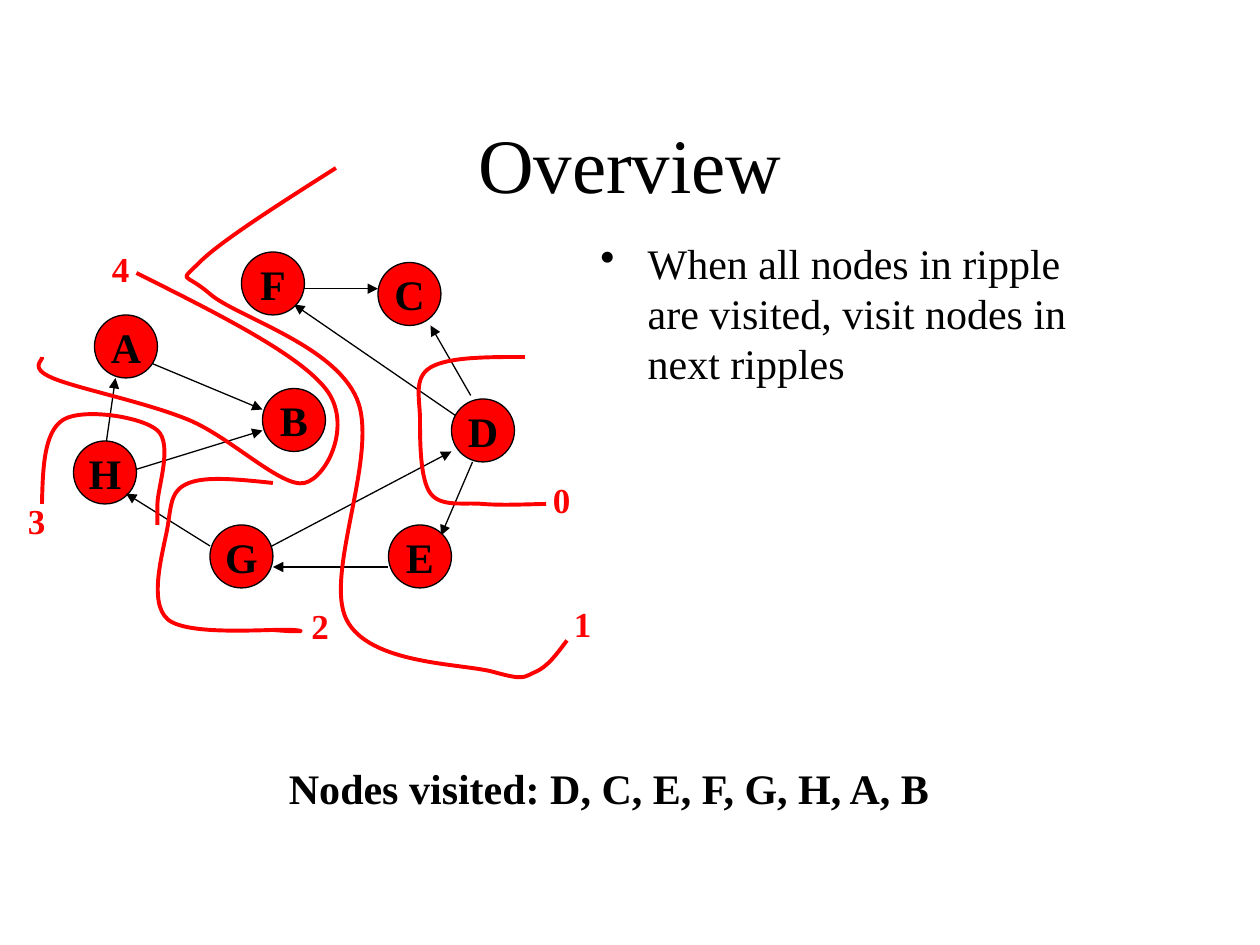
import pptx
import pptx.dml.color
import pptx.enum.shapes
import pptx.enum.text
import pptx.oxml.ns
import pptx.util
from lxml import etree

Pt = pptx.util.Pt
qn = pptx.oxml.ns.qn
ALIGN = pptx.enum.text.PP_ALIGN
ANCHOR = pptx.enum.text.MSO_ANCHOR
AUTO_SIZE = pptx.enum.text.MSO_AUTO_SIZE
COLOURS = {"ink": "000000", "ripple": "FF0000"}
NODE_SIZE = 36
NODES = {
    "A": (54, 180), "H": (42, 252), "B": (150, 222), "F": (138, 144),
    "E": (222, 300), "D": (258, 228), "C": (216, 150), "G": (120, 300),
}
BACK_EDGES = [
    (264, 240, 168, 174), (270, 264, 252, 306), (72, 270, 150, 246),
    (144, 318, 258, 258), (60, 258, 66, 216), (78, 204, 150, 234),
    (269, 226, 246, 186),
]
FRONT_EDGES = [(222, 324, 156, 324), (120, 312, 72, 282), (174, 165, 216, 165)]
RIPPLES = [
    [(192, 96), (159, 117), (126, 138), (114, 150), (102, 162), (105, 155),
     (120, 168), (135, 181), (191, 197), (204, 228), (217, 259), (185, 328),
     (198, 354), (211, 380), (264, 379), (282, 384), (300, 389), (299, 387),
     (306, 384), (313, 381), (318, 374), (324, 366)],
    [(300, 204), (278, 204), (256, 204), (246, 210), (236, 216), (240, 228),
     (240, 240), (240, 252), (240, 274), (246, 282), (252, 290), (265, 287),
     (276, 288), (287, 289), (306, 288), (312, 288)],
    [(156, 276), (137, 274), (118, 272), (108, 276), (98, 280), (98, 287),
     (96, 300), (94, 313), (84, 344), (96, 354), (108, 364), (158, 359),
     (168, 360), (178, 361), (167, 361), (156, 360)],
    [(24, 288), (24.5, 268), (25, 247), (36, 240), (47, 233), (81, 238),
     (90, 246), (99, 254), (90, 279), (90, 288), (90, 297), (90, 299), (90, 300)],
    [(78, 156), (124, 179), (170, 202), (186, 222), (202, 242), (187, 273),
     (174, 276), (161, 279), (132, 250), (108, 240), (84, 230), (44, 222),
     (30, 216), (16, 210), (25, 206), (24, 204)],
]
RIPPLE_LABELS = {
    "0": (306, 270), "2": (168, 342), "1": (318, 340.5),
    "3": (6, 282), "4": (54, 138),
}


def rgb(name):
    return pptx.dml.color.RGBColor.from_string(COLOURS[name])


def write_text(frame, text, *, size=24, bold=False, colour="ink", font="Times New Roman",
               align=ALIGN.CENTER, anchor=ANCHOR.TOP, wrap=True, grow=False,
               before=0, hanging=0, bullet=None):
    frame.word_wrap = wrap
    frame.auto_size = AUTO_SIZE.SHAPE_TO_FIT_TEXT if grow else AUTO_SIZE.NONE
    frame.vertical_anchor = anchor
    paragraph = frame.paragraphs[0]
    paragraph.alignment = align
    paragraph.space_before = Pt(before)
    run = paragraph.add_run()
    run.text = text
    run.font.name = font
    run.font.size = Pt(size)
    run.font.bold = bold
    run.font.color.rgb = rgb(colour)
    properties = paragraph._p.get_or_add_pPr()
    if hanging:
        properties.set("marL", str(Pt(hanging)))
        properties.set("indent", str(-Pt(hanging)))
    if bullet:
        etree.SubElement(properties, qn("a:buChar")).set("char", bullet)


class GraphSlide:
    thin = 0.75
    thick = 2.25

    def __init__(self, presentation):
        self.slide = presentation.slides.add_slide(presentation.slide_layouts[6])
        self.shapes = self.slide.shapes

    def outline(self, shape, colour, width):
        shape.line.color.rgb = rgb(colour)
        shape.line.width = Pt(width)

    def text(self, text, left, top, width, height, **style):
        box = self.shapes.add_textbox(Pt(left), Pt(top), Pt(width), Pt(height))
        write_text(box.text_frame, text, **style)

    def node(self, name, left, top):
        shape = self.shapes.add_shape(
            pptx.enum.shapes.MSO_SHAPE.OVAL, Pt(left), Pt(top), Pt(NODE_SIZE), Pt(NODE_SIZE))
        shape.shadow.inherit = False
        shape.fill.solid()
        shape.fill.fore_color.rgb = rgb("ripple")
        self.outline(shape, "ink", self.thin)
        write_text(shape.text_frame, name, bold=True, before=6, wrap=False,
                   anchor=ANCHOR.MIDDLE)

    def arrow(self, *ends):
        connector = self.shapes.add_connector(
            pptx.enum.shapes.MSO_CONNECTOR.STRAIGHT, *map(Pt, ends))
        self.outline(connector, "ink", self.thin)
        etree.SubElement(connector.line._ln, qn("a:tailEnd")).set("type", "triangle")
        etree.SubElement(connector._element.spPr, qn("a:effectLst"))

    def curve(self, points):
        start, *controls = [(Pt(x), Pt(y)) for x, y in points]
        builder = self.shapes.build_freeform(*start)
        builder.add_line_segments(controls, close=False)
        shape = builder.convert_to_shape()
        shape.shadow.inherit = False
        shape.fill.background()
        self.outline(shape, "ripple", self.thick)
        segments = list(shape._element.iter(qn("a:lnTo")))
        outline_path = segments[0].getparent()
        for index in range(0, len(segments), 3):
            bezier = etree.SubElement(outline_path, qn("a:cubicBezTo"))
            for segment in segments[index:index + 3]:
                bezier.append(segment[0])
                outline_path.remove(segment)


def main():
    presentation = pptx.Presentation()
    presentation.slide_width = Pt(720)
    presentation.slide_height = Pt(540)
    graph = GraphSlide(presentation)
    for edge in BACK_EDGES:
        graph.arrow(*edge)
    for name, position in NODES.items():
        graph.node(name, *position)
    graph.text("Overview", 54, 48, 612, 90, size=44, anchor=ANCHOR.MIDDLE)
    for edge in FRONT_EDGES:
        graph.arrow(*edge)
    graph.text("Nodes visited: D, C, E, F, G, H, A, B", 120, 432, 456, 36,
               bold=True, before=15, hanging=27, grow=True)
    graph.text("When all nodes in ripple are visited, visit nodes in next ripples",
               336, 132, 300, 93.6, align=ALIGN.LEFT, before=15, hanging=27,
               bullet="•", grow=True)
    for ripple in RIPPLES:
        graph.curve(ripple)
    for label, position in RIPPLE_LABELS.items():
        graph.text(label, *position, 30, 31.7, size=20, bold=True, colour="ripple",
                   before=12.5, hanging=27, grow=True)
    presentation.save("out.pptx")


if __name__ == "__main__":
    main()
